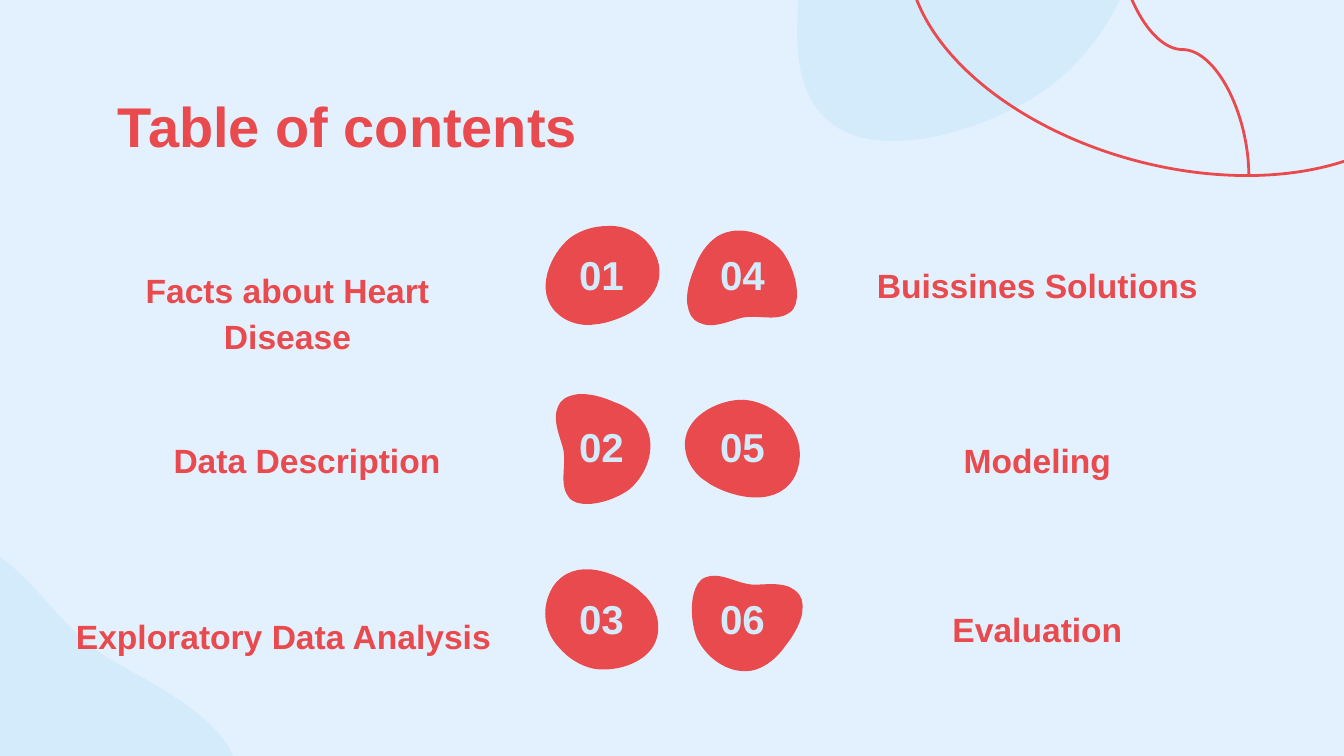
from dataclasses import dataclass

from pptx import Presentation
from pptx.dml.color import RGBColor as RGB
from pptx.enum.shapes import MSO_CONNECTOR as Link, MSO_SHAPE as Preset
from pptx.enum.text import MSO_ANCHOR as Anchor, PP_ALIGN as Align
from pptx.oxml.ns import qn
from pptx.util import Emu, Pt
from lxml.etree import SubElement as Sub

SCALE = 9144000 / 1344


@dataclass(frozen=True)
class Theme:
    """Colours, font and type sizes of the slide."""
    back: str = "E3F1FE"
    pale: str = "D4EBFC"
    red: str = "E94A4E"
    font: str = "Arial"
    title: float = 30
    label: float = 18
    number: float = 21.6
    line: float = 1.5


THEME = Theme()


@dataclass(frozen=True)
class Outline:
    """A closed curve: frame size, start point and Bezier triples."""
    size: tuple
    start: tuple
    curves: tuple


CLOUD = Outline((402, 434), (99, 0), (
    (85, 0, 70, 3, 58, 7),
    (28, 15, 7, 36, 3, 78),
    (0, 122, 17, 169, 28, 212),
    (44, 273, 11, 349, 51, 403),
    (69, 426, 95, 434, 126, 434),
    (187, 434, 259, 401, 292, 372),
    (362, 313, 402, 203, 351, 121),
    (324, 78, 280, 48, 233, 30),
    (195, 16, 144, 0, 99, 0),
))
PEBBLE = Outline((134, 99), (74, 0), (
    (60, 0, 47, 4, 36, 12),
    (16, 28, 0, 66, 23, 87),
    (31, 95, 43, 99, 54, 99),
    (58, 99, 62, 98, 65, 98),
    (94, 93, 134, 71, 124, 35),
    (117, 13, 98, 1, 79, 0),
    (77, 0, 75, 0, 74, 0),
))
BEAN = Outline((102, 110), (26, 0), (
    (22, 0, 19, 1, 15, 2),
    (8, 4, 3, 9, 1, 20),
    (0, 32, 5, 43, 8, 54),
    (12, 70, 4, 89, 13, 102),
    (17, 109, 26, 110, 32, 110),
    (48, 110, 66, 102, 75, 95),
    (93, 79, 102, 52, 90, 31),
    (83, 20, 71, 12, 59, 8),
    (50, 4, 38, 0, 26, 0),
))

CLOUDS = ((767, -293, 0), (-220, 559, 135))
BLOBS = (
    (PEBBLE, 534, 571, 229.3),
    (BEAN, 691, 571, 105),
    (BEAN, 691, 220, 270),
    (BEAN, 555, 394, 0),
    (PEBBLE, 676, 399, 40.2),
    (PEBBLE, 534, 226, 0),
)
LABELS = (
    ("Facts about Heart Disease", 68, 251, 439),
    ("Data Description", 106, 421, 402),
    ("Exploratory Data Analysis", 59, 597, 449),
    ("Buissines Solutions", 836, 246, 403),
    ("Modeling", 836, 421, 403),
    ("Evaluation", 836, 590, 403),
)


def px(size):
    """Turn pixels into EMU."""
    return Emu(round(size * SCALE))


def box(*sizes):
    """Turn several pixel lengths into EMU."""
    return [px(size) for size in sizes]


def point(node, x, y):
    """Add one path point to a node."""
    Sub(node, qn("a:pt"), x=str(x), y=str(y))


def blob(slide, form, x, y, turn, fill):
    """Draw a filled curved outline, turned about its centre."""
    wide, high = form.size
    pen = slide.shapes.build_freeform(x, y, SCALE)
    pen.add_line_segments([(x + wide, y), (x + wide, y + high), (x, y + high)])
    shape = pen.convert_to_shape()
    track = next(shape._element.iter(qn("a:path")))
    for node in list(track):
        track.remove(node)
    point(Sub(track, qn("a:moveTo")), *form.start)
    for curve in form.curves:
        node = Sub(track, qn("a:cubicBezTo"))
        for a, b in zip(curve[::2], curve[1::2]):
            point(node, a, b)
    Sub(track, qn("a:close"))
    shape.rotation = turn
    shape.shadow.inherit = False
    shape.fill.solid()
    shape.fill.fore_color.rgb = RGB.from_string(fill)
    shape.line.fill.background()


def stroke(shape):
    """Give a line its colour and width."""
    shape.line.color.rgb = RGB.from_string(THEME.red)
    shape.line.width = Pt(THEME.line)


def arc(slide):
    """Draw the sweeping arc in the top corner."""
    shape = slide.shapes.add_shape(Preset.ARC, *box(902, -165, 551, 331))
    shape.adjustments[0] = 114.56 * 0.6
    shape.rotation = 195
    shape.shadow.inherit = False
    shape.fill.background()
    stroke(shape)


def bend(slide):
    """Draw the curved connector that meets the arc."""
    link = slide.shapes.add_connector(Link.CURVE, *box(1310, -17, 1055, 116))
    stroke(link)
    props = link._element.spPr
    props.find(qn("a:xfrm")).set("rot", str(90 * 60000))
    Sub(props, qn("a:effectLst"))


def text(slide, words, x, y, wide, high, *, size, color=THEME.red,
         align=Align.CENTER, anchor=Anchor.TOP, space=1.0):
    """Place a bold text box with the given format."""
    frame = slide.shapes.add_textbox(*box(x, y, wide, high)).text_frame
    frame.word_wrap = True
    frame.vertical_anchor = anchor
    frame.margin_left = frame.margin_right = px(13)
    frame.margin_top = frame.margin_bottom = px(13)
    para = frame.paragraphs[0]
    para.alignment = align
    para.line_spacing = space
    run = para.add_run()
    run.text = words
    run.font.name = THEME.font
    run.font.size = Pt(size)
    run.font.bold = True
    run.font.color.rgb = RGB.from_string(color)


def main():
    """Build the contents slide and save it."""
    deck = Presentation()
    deck.slide_width, deck.slide_height = box(1344, 756)
    slide = deck.slides.add_slide(deck.slide_layouts[6])
    slide.background.fill.solid()
    slide.background.fill.fore_color.rgb = RGB.from_string(THEME.back)
    for place in CLOUDS:
        blob(slide, CLOUD, *place, THEME.pale)
    arc(slide)
    bend(slide)
    for item in BLOBS:
        blob(slide, *item, THEME.red)
    text(slide, "Table of contents", 105, 79, 1134, 90,
         size=THEME.title, align=Align.LEFT)
    for i, (words, x, y, wide) in enumerate(LABELS):
        col, row = divmod(i, 3)
        text(slide, words, x, y, wide, 58, size=THEME.label, space=1.15)
        text(slide, f"{i + 1:02}", 555 + 141 * col, 243 + 172 * row, 93, 62,
             size=THEME.number, color=THEME.pale, anchor=Anchor.MIDDLE)
    deck.save("out.pptx")


if __name__ == "__main__":
    main()
